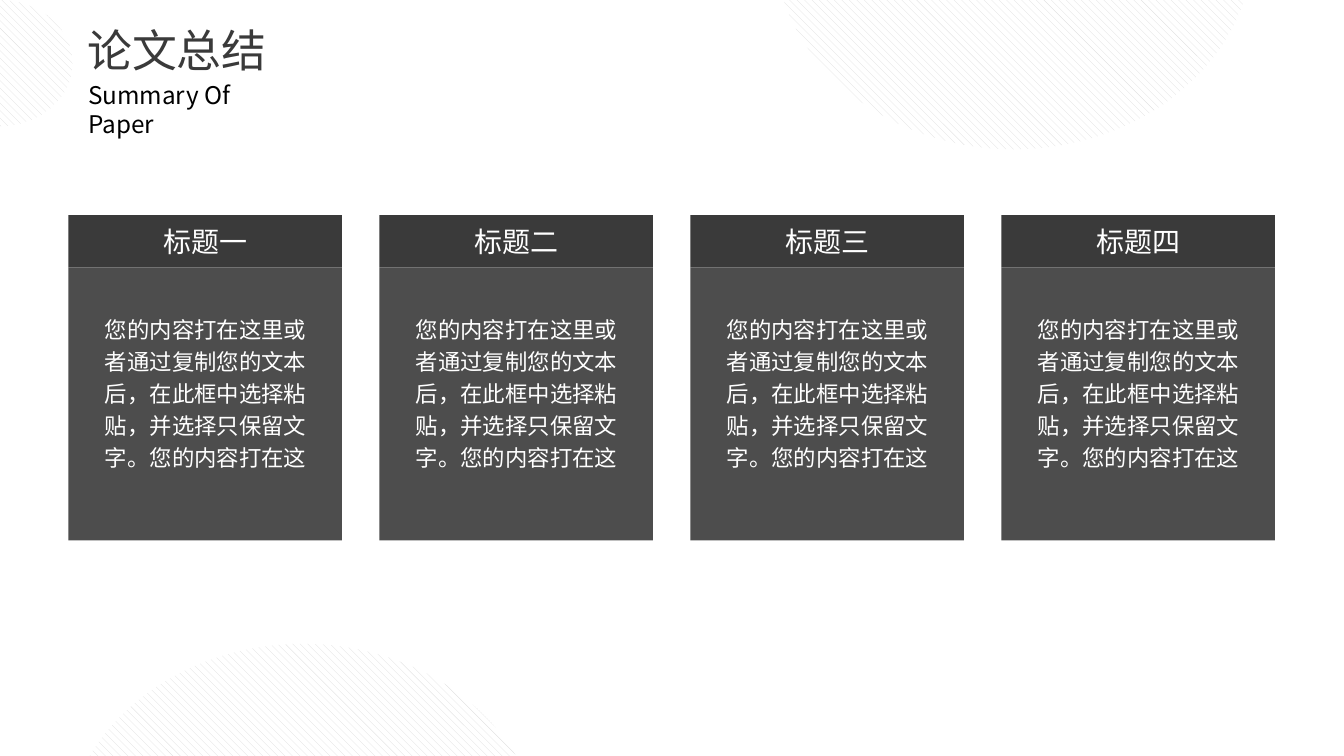
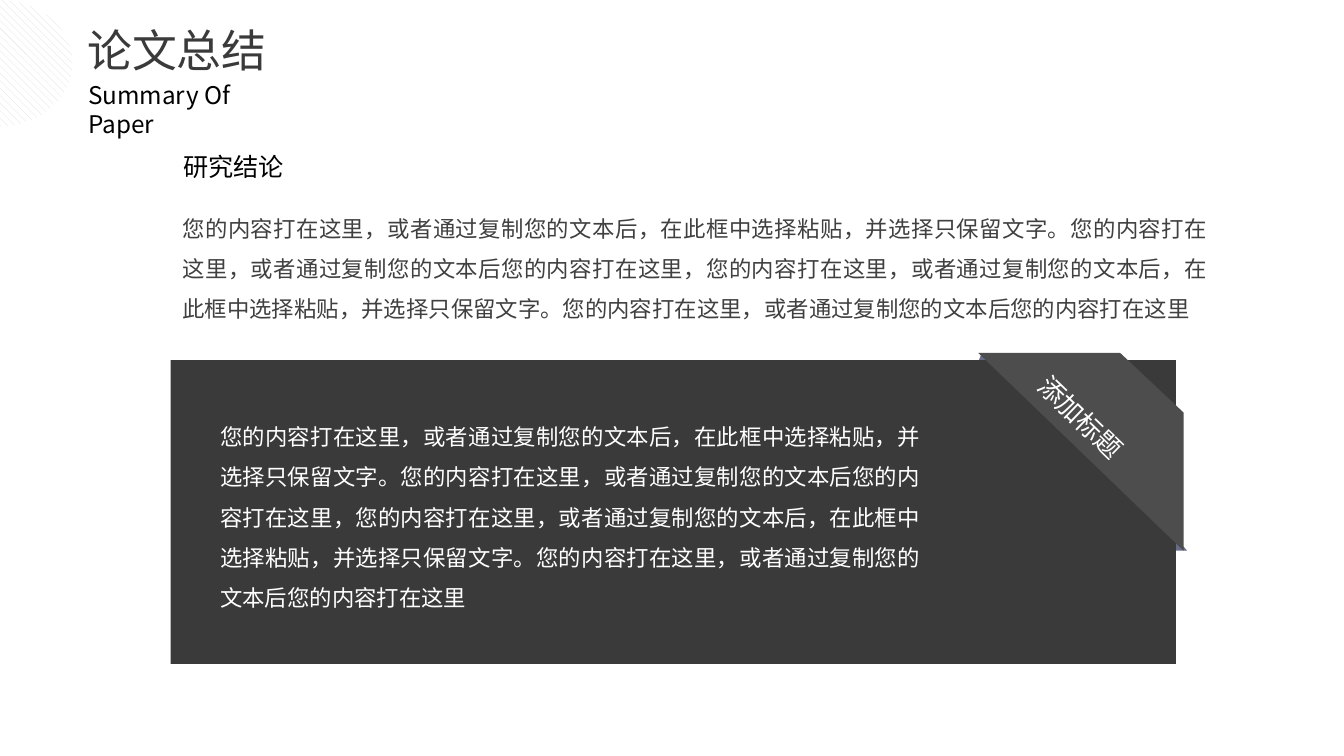
from typing import NamedTuple

from lxml import etree
from pptx import Presentation
from pptx.dml.color import RGBColor
from pptx.enum.dml import MSO_PATTERN
from pptx.enum.shapes import MSO_SHAPE
from pptx.enum.text import MSO_ANCHOR, MSO_AUTO_SIZE, PP_ALIGN
from pptx.oxml.ns import qn
from pptx.util import Pt

RECTANGLE = MSO_SHAPE.RECTANGLE
OVAL = MSO_SHAPE.OVAL
DIAGONAL = MSO_PATTERN.WIDE_DOWNWARD_DIAGONAL
LEFT, CENTER, JUSTIFY = PP_ALIGN.LEFT, PP_ALIGN.CENTER, PP_ALIGN.JUSTIFY
TOP = MSO_ANCHOR.TOP
GROW = MSO_AUTO_SIZE.SHAPE_TO_FIT_TEXT

FONT = "Noto Sans CJK SC"
DARK, GREY, FOLD = "3A3A3A", "4D4D4D", "686C86"
BODY_GREY, STRIPE = "404040", "DDDDDD"
BLACK, WHITE = "000000", "FFFFFF"
TITLE_ONLY = 5


class Box(NamedTuple):
    """Position and size in points."""
    left: float
    top: float
    width: float
    height: float

    def lengths(self) -> tuple:
        return tuple(Pt(value) for value in self)


class Fold(NamedTuple):
    """A closed outline in points with its fill colour."""
    points: list
    color: str


# Shared header and background circles
TITLE_BOX = Box(39.6, 8.6, 167.8, 36.7)
SUBTITLE_BOX = Box(40.3, 39.6, 117.4, 23)
CORNER_CIRCLE = Box(-39.6, 0, 78.5, 67.7)
LARGE_CIRCLES = [Box(414.7, -141.8, 257, 221.8), Box(33.8, 344.9, 257, 221.8)]

# Summary cards
CARD_HEADINGS = ["标题一", "标题二", "标题三", "标题四"]
CARD_TEXT = ("您的内容打在这里或者通过复制您的文本后，在此框中选择粘贴，"
             "并选择只保留文字。您的内容打在这")
CARD_LEFT, CARD_TOP, CARD_STEP, CARD_WIDTH = 36.7, 115.2, 166.6, 146.5
HEADING_HEIGHT, PANEL_HEIGHT = 28.1, 146.2

# Conclusion text and corner ribbon
OPENING = "您的内容打在这里，或者通过复制您的文本后"
CHOICE = "，在此框中选择粘贴，并选择只保留文字。"
CONCLUSION = (OPENING + CHOICE + OPENING + "您的内容打在这里，" + OPENING
              + CHOICE + OPENING + "您的内容打在这里")
FOLDS_BEHIND = [
    Fold([(635.8, 295.2), (627.1, 295.2), (627.1, 285.1)], FOLD),
    Fold([(525.6, 188.6), (524.2, 194.4), (533.5, 194.4)], FOLD),
]
RIBBON = Fold([(524.2, 188.6), (634.3, 295.2), (634.3, 221), (600.5, 188.6)], GREY)


def rgb(color: str) -> RGBColor:
    return RGBColor.from_string(color)


def write(shape, text: str, *, size: float, color: str, align=LEFT,
          spacing: float | None = None, wrap: bool = True) -> None:
    """Put one formatted paragraph into a shape."""
    frame = shape.text_frame
    frame.text = text
    frame.word_wrap = wrap
    frame.auto_size = GROW
    frame.vertical_anchor = TOP
    paragraph = frame.paragraphs[0]
    paragraph.alignment = align
    if spacing:
        paragraph.line_spacing = spacing
    run = paragraph.runs[0]
    run.font.size = Pt(size)
    run.font.color.rgb = rgb(color)
    run.font.name = FONT
    east_asian = etree.SubElement(run.font._element, qn("a:ea"))
    east_asian.set("typeface", FONT)


def add_text(slide, box: Box, text: str, **text_format) -> None:
    write(slide.shapes.add_textbox(*box.lengths()), text, **text_format)


def paint(shape, color: str) -> None:
    shape.shadow.inherit = False
    shape.line.fill.background()
    shape.fill.solid()
    shape.fill.fore_color.rgb = rgb(color)


def add_rectangle(slide, box: Box, color: str):
    rectangle = slide.shapes.add_shape(RECTANGLE, *box.lengths())
    paint(rectangle, color)
    return rectangle


def add_striped_circle(slide, box: Box) -> None:
    circle = slide.shapes.add_shape(OVAL, *box.lengths())
    circle.shadow.inherit = False
    circle.line.fill.background()
    circle.fill.patterned()
    circle.fill.pattern = DIAGONAL
    circle.fill.fore_color.rgb = rgb(STRIPE)
    circle.fill.back_color.rgb = rgb(WHITE)


def add_fold(slide, fold: Fold) -> None:
    start, *others = fold.points
    builder = slide.shapes.build_freeform(*start, scale=Pt(1))
    builder.add_line_segments(others, close=True)
    paint(builder.convert_to_shape(), fold.color)


def add_slide(presentation):
    """Start a slide with the shared title, subtitle and corner circle."""
    slide = presentation.slides.add_slide(presentation.slide_layouts[TITLE_ONLY])
    title = slide.shapes.title
    title.left, title.top, title.width, title.height = TITLE_BOX.lengths()
    write(title, "论文总结", size=24, color=DARK)
    add_striped_circle(slide, CORNER_CIRCLE)
    add_text(slide, SUBTITLE_BOX, "Summary Of Paper", size=13, color=BLACK)
    return slide


def add_card(slide, left: float, heading: str) -> None:
    panel_top = CARD_TOP + HEADING_HEIGHT
    add_rectangle(slide, Box(left, CARD_TOP, CARD_WIDTH, HEADING_HEIGHT), DARK)
    add_rectangle(slide, Box(left, panel_top, CARD_WIDTH, PANEL_HEIGHT), GREY)
    add_text(slide, Box(left + 24, CARD_TOP + 1.4, 98.6, 25.2), heading,
             size=15, color=WHITE, align=CENTER)
    add_text(slide, Box(left + 12.4, panel_top + 19.4, 123.5, 94.3), CARD_TEXT,
             size=12, color=WHITE, spacing=1.2)


def build_summary(presentation) -> None:
    slide = add_slide(presentation)
    for circle in LARGE_CIRCLES:
        add_striped_circle(slide, circle)
    for index, heading in enumerate(CARD_HEADINGS):
        add_card(slide, CARD_LEFT + index * CARD_STEP, heading)


def build_conclusion(presentation) -> None:
    slide = add_slide(presentation)
    # Heading and opening paragraph
    add_text(slide, Box(90.7, 104.4, 563.8, 94.3), CONCLUSION, size=12,
             color=BODY_GREY, align=JUSTIFY, spacing=1.5)
    add_text(slide, Box(91.4, 77.8, 69.1, 23.8), "研究结论", size=13.5,
             color=BLACK, wrap=False)
    # Dark panel with its text
    for fold in FOLDS_BEHIND:
        add_fold(slide, fold)
    add_rectangle(slide, Box(91.4, 193, 538.6, 162.7), DARK)
    add_text(slide, Box(110.9, 216, 389.5, 116.6), CONCLUSION, size=12,
             color=WHITE, align=JUSTIFY, spacing=1.5)
    # Corner ribbon with its label
    add_fold(slide, RIBBON)
    label = add_rectangle(slide, Box(543.6, 211.7, 71.3, 24.5), GREY)
    label.rotation = 44
    write(label, "添加标题", size=14, color=WHITE, wrap=False)


def main() -> None:
    presentation = Presentation()
    presentation.slide_width, presentation.slide_height = Pt(720), Pt(405)
    build_summary(presentation)
    build_conclusion(presentation)
    presentation.save("out.pptx")


if __name__ == "__main__":
    main()
